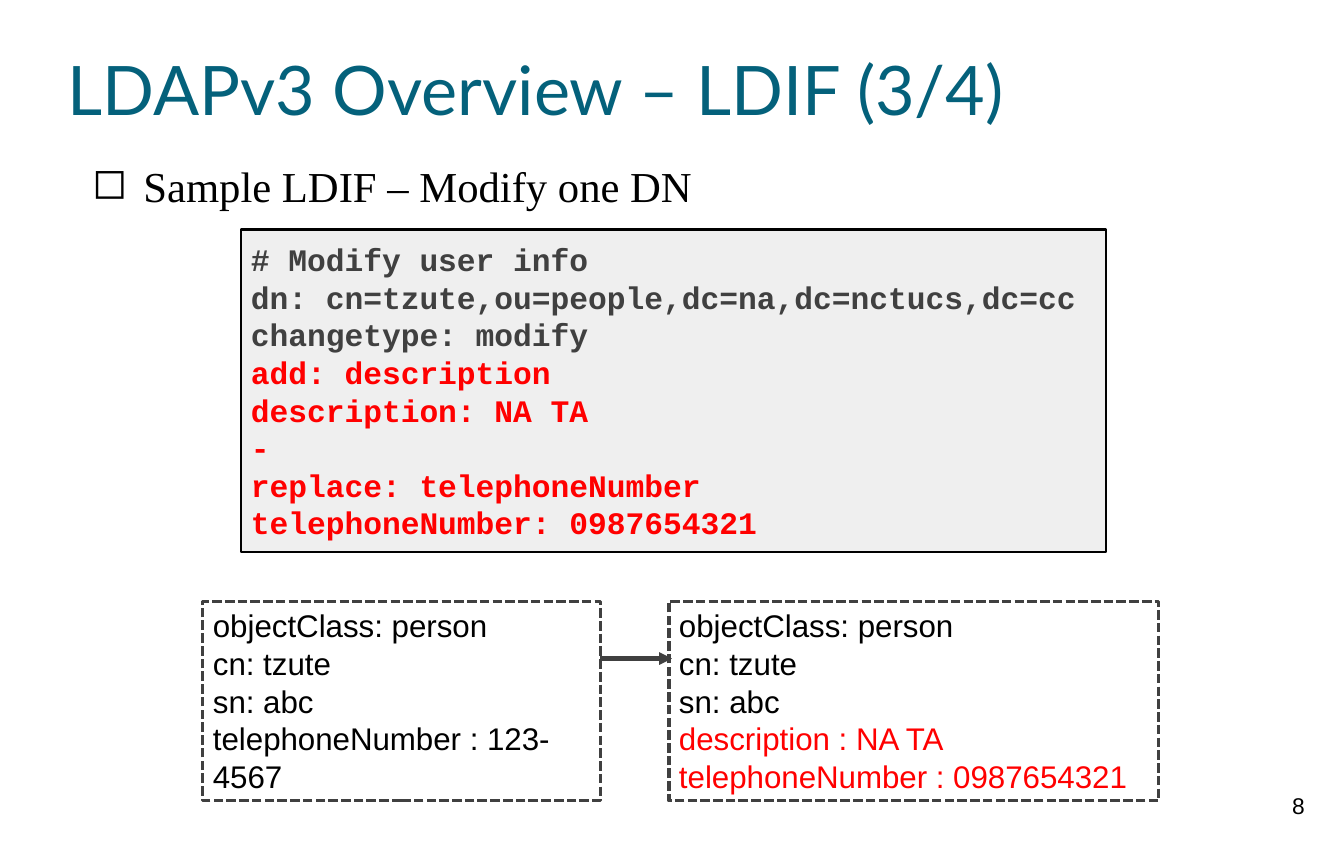
from lxml import etree
from pptx import Presentation
from pptx.dml.color import RGBColor
from pptx.enum.dml import MSO_LINE
from pptx.enum.shapes import MSO_CONNECTOR, MSO_SHAPE
from pptx.enum.text import MSO_ANCHOR, PP_ALIGN
from pptx.oxml.ns import qn
from pptx.util import Pt

PX = 9144  # 100 px to the inch
RECT, LINE = MSO_SHAPE.RECTANGLE, MSO_CONNECTOR.STRAIGHT
TOP, MID = MSO_ANCHOR.TOP, MSO_ANCHOR.MIDDLE
LEFT, CENTER = PP_ALIGN.LEFT, PP_ALIGN.CENTER
DASH = MSO_LINE.SQUARE_DOT

BLACK = RGBColor(0x00, 0x00, 0x00)
GRAY = RGBColor(0x40, 0x40, 0x40)
PALE = RGBColor(0xEF, 0xEF, 0xEF)
RED = RGBColor(0xFF, 0x00, 0x00)
TEAL = RGBColor(0x04, 0x61, 0x7B)

CODE = [
    "# Modify user info",
    "dn: cn=tzute,ou=people,dc=na,dc=nctucs,dc=cc",
    "changetype: modify",
    "add: description",
    "description: NA TA",
    "-",
    "replace: telephoneNumber",
    "telephoneNumber: 0987654321",
]
PERSON = ["objectClass: person", "cn: tzute", "sn: abc"]
BEFORE = PERSON + ["telephoneNumber : 123-4567"]
AFTER = PERSON + ["description : NA TA", "telephoneNumber : 0987654321"]


def scale(box):
    return [n * PX for n in box]


def write(shape, lines, face, size, color, pad=(0, 0), anchor=TOP,
          align=LEFT, bold=False, plain=None, pitch=None):
    """Fill a shape with lines; those from index plain onward are red."""
    frame = shape.text_frame
    frame.word_wrap = True
    frame.vertical_anchor = anchor
    frame.margin_left = frame.margin_right = pad[0] * PX
    frame.margin_top = frame.margin_bottom = pad[1] * PX
    frame.text = "\n".join(lines)
    for i, para in enumerate(frame.paragraphs):
        para.alignment = align
        if pitch:
            para.line_spacing = Pt(pitch)
        for run in para.runs:
            font = run.font
            font.name, font.size, font.bold = face, Pt(size), bold
            font.color.rgb = RED if plain and i >= plain else color


def add_label(slide, box, text, face, size, color, **style):
    label = slide.shapes.add_textbox(*scale(box))
    write(label, [text], face, size, color, **style)
    return label


def add_bullet(slide, box):
    label = add_label(slide, box, "Sample LDIF – Modify one DN",
                      "Times New Roman", 30, BLACK)
    para = label.text_frame.paragraphs[0]
    para.line_spacing = 1.15
    props = para._p.get_or_add_pPr()
    props.set("marL", str(75 * PX))
    props.set("indent", str(-50 * PX))
    tint = etree.SubElement(props, qn("a:buClr"))
    etree.SubElement(tint, qn("a:srgbClr")).set("val", str(BLACK))
    etree.SubElement(props, qn("a:buChar")).set("char", "◻")


def add_frame(slide, box, color, width):
    frame = slide.shapes.add_shape(RECT, *scale(box))
    frame.shadow.inherit = False
    frame.fill.background()
    frame.line.color.rgb = color
    frame.line.width = Pt(width)
    return frame


def add_code(slide, box):
    panel = add_frame(slide, box, BLACK, 1.5)
    panel.fill.solid()
    panel.fill.fore_color.rgb = PALE
    write(panel, CODE, "Courier New", 22, GRAY, pad=(10, 10),
          anchor=MID, bold=True, plain=3, pitch=26.4)


def add_entry(slide, box, lines, plain=None):
    entry = add_frame(slide, box, GRAY, 2.25)
    entry.line.dash_style = DASH
    write(entry, lines, "Arial", 22, BLACK, pad=(10, 5), plain=plain,
          pitch=26.5)


def add_arrow(slide, start, end, y):
    arrow = slide.shapes.add_connector(LINE, *scale((start, y, end, y)))
    arrow.line.color.rgb = GRAY
    arrow.line.width = Pt(3)
    etree.SubElement(arrow.line._ln, qn("a:tailEnd")).set("type", "triangle")
    etree.SubElement(arrow._element.spPr, qn("a:effectLst"))


def add_change(slide, box):
    """Show the entry before and after the modification."""
    x, y, w, h = box
    left, right = 388, 478
    add_entry(slide, (x, y, left, h), BEFORE)
    add_entry(slide, (x + w - right, y, right, h), AFTER, plain=3)
    add_arrow(slide, x + left, x + w - right + 3, y + 56)


def main():
    deck = Presentation()
    deck.slide_width, deck.slide_height = scale((1312, 827))
    slide = deck.slides.add_slide(deck.slide_layouts[6])
    add_label(slide, (66, 17, 1181, 138), "LDAPv3 Overview – LDIF (3/4)",
              "Lato", 48, TEAL, anchor=MID)
    add_bullet(slide, (65, 149, 1185, 58))
    add_code(slide, (235, 224, 845, 315))
    add_change(slide, (198, 587, 933, 195))
    add_label(slide, (1228, 763, 79, 63), "8", "Arial", 16, BLACK,
              pad=(10, 10), align=CENTER)
    deck.save("out.pptx")


if __name__ == "__main__":
    main()
